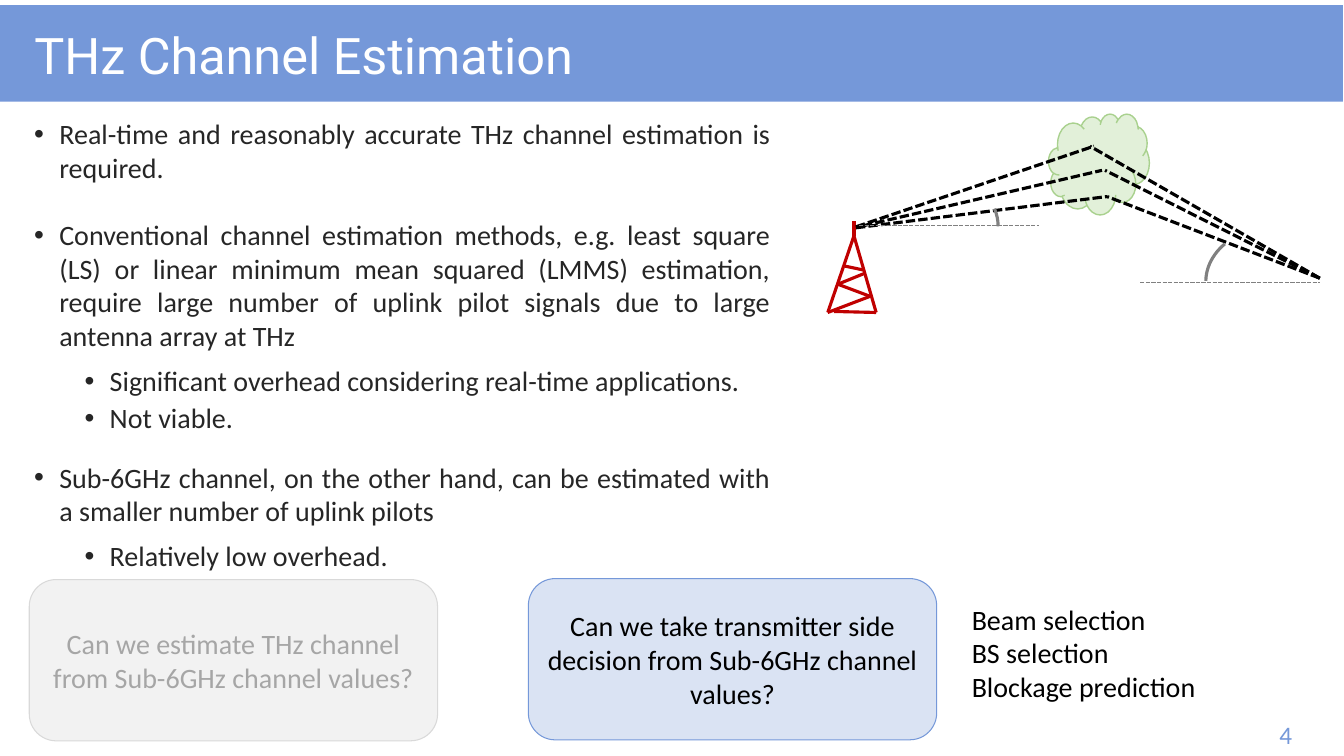
from lxml import etree
from pptx import Presentation
from pptx.dml.color import RGBColor
from pptx.enum.dml import MSO_LINE
from pptx.enum.shapes import MSO_CONNECTOR, MSO_SHAPE
from pptx.enum.text import MSO_ANCHOR, MSO_AUTO_SIZE, PP_ALIGN
from pptx.oxml.ns import qn
from pptx.util import Inches, Pt

BLUE, WHITE, BLACK, GRAY = "7598D9", "FFFFFF", "000000", "808080"


def rgb(hex_code):
    return RGBColor.from_string(hex_code)


class Deck:
    """Holds the slide, its fonts and one method per kind of element."""

    body_font, title_font = "Calibri", "Roboto"

    def __init__(self):
        self.prs = Presentation()
        self.prs.slide_width, self.prs.slide_height = Inches(13.33), Inches(7.5)
        self.slide = self.prs.slides.add_slide(self.prs.slide_layouts[5])

    def style(self, paragraph, size, color, align=PP_ALIGN.LEFT, font=None):
        paragraph.alignment = align
        paragraph.font.size = Pt(size)
        paragraph.font.name = font or self.body_font
        paragraph.font.color.rgb = rgb(color)

    def title(self, text, box):
        title = self.slide.shapes.title
        title.left, title.top, title.width, title.height = map(Inches, box)
        frame = title.text_frame
        frame.text = text
        frame.auto_size = MSO_AUTO_SIZE.NONE
        frame.vertical_anchor = MSO_ANCHOR.MIDDLE
        frame.paragraphs[0].line_spacing = 0.9
        self.style(frame.paragraphs[0], 36, WHITE, font=self.title_font)

    def shape(self, kind, box, fill=None, line=None, width=0.75):
        shape = self.slide.shapes.add_shape(kind, *map(Inches, box))
        shape.shadow.inherit = False
        if fill:
            shape.fill.solid()
            shape.fill.fore_color.rgb = rgb(fill)
        else:
            shape.fill.background()
        if line:
            shape.line.color.rgb = rgb(line)
            shape.line.width = Pt(width)
        else:
            shape.line.fill.background()
        return shape

    def arc(self, box, start, end):
        arc = self.shape(MSO_SHAPE.ARC, box, line=GRAY, width=2.25)
        # Angles in degrees; one adjustment unit is 100000/60000 degrees
        arc.adjustments[0], arc.adjustments[1] = start * 0.6, end * 0.6

    def label(self, shape, lines, size, color, align=PP_ALIGN.LEFT, anchor=MSO_ANCHOR.MIDDLE):
        frame = shape.text_frame
        frame.word_wrap = True
        frame.vertical_anchor = anchor
        frame.text = "\n".join(lines)
        for paragraph in frame.paragraphs:
            self.style(paragraph, size, color, align)

    def text_box(self, box):
        return self.slide.shapes.add_textbox(*map(Inches, box))

    def bullets(self, box, items):
        frame = self.text_box(box).text_frame
        frame.word_wrap = True
        for index, (level, text) in enumerate(items):
            paragraph = frame.add_paragraph() if index else frame.paragraphs[0]
            paragraph.text = text
            paragraph.level = level
            paragraph.line_spacing = 0.9 if level else 1.0
            paragraph.space_before = Pt((5 if level else 18) if index else 0)
            paragraph.space_after = Pt(0 if level else 6)
            props = paragraph._p.get_or_add_pPr()
            props.set("marL", str(Inches(0.25 + 0.5 * level)))
            props.set("indent", str(Inches(-0.25)))
            etree.SubElement(props, qn("a:buFont")).set("typeface", "Arial")
            etree.SubElement(props, qn("a:buChar")).set("char", "•")
            self.style(paragraph, 20, "262626", PP_ALIGN.JUSTIFY)

    def line(self, start, end, color, width=2.25, dashed=False):
        line = self.slide.shapes.add_connector(
            MSO_CONNECTOR.STRAIGHT, *map(Inches, (*start, *end)))
        line.line.color.rgb = rgb(color)
        line.line.width = Pt(width)
        if dashed:
            line.line.dash_style = MSO_LINE.SQUARE_DOT
        etree.SubElement(line._element.spPr, qn("a:effectLst"))


def main():
    deck = Deck()

    # Title on its band
    deck.title("THz Channel Estimation", (0.24, 0.15, 12.94, 0.86))
    band = deck.shape(MSO_SHAPE.RECTANGLE, (-0.01, 0.05, 13.33, 0.96), BLUE)
    deck.slide.shapes.title._element.addprevious(band._element)

    # Scattering cloud
    deck.shape(MSO_SHAPE.CLOUD, (10.4, 1.13, 1, 1), "E2F0D9", "A9D18E", 1)

    # Arguments
    deck.bullets((0.24, 1.11, 7.5, 5.63), [
        (0, "Real-time and reasonably accurate THz channel estimation is required."),
        (0, "Conventional channel estimation methods, e.g. least square (LS) or linear "
            "minimum mean squared (LMMS) estimation, require large number of uplink "
            "pilot signals due to large antenna array at THz"),
        (1, "Significant overhead considering real-time applications."),
        (1, "Not viable."),
        (0, "Sub-6GHz channel, on the other hand, can be estimated with a smaller "
            "number of uplink pilots"),
        (1, "Relatively low overhead."),
    ])

    # Slide number
    page = deck.shape(MSO_SHAPE.RECTANGLE, (12.59, 7.09, 0.59, 0.35), WHITE, WHITE)
    deck.label(page, ["4"], 18, BLUE, anchor=MSO_ANCHOR.TOP)

    # Base station tower
    apex, left_foot, right_foot = (8.47, 2.34), (8.21, 3.1), (8.69, 3.1)
    low, middle = (8.63, 2.94), (8.31, 2.82)
    for start, end in [
        (apex, left_foot), (apex, right_foot), (apex, (8.47, 2.19)),
        ((8.27, 3.09), right_foot), (left_foot, low), (low, middle),
        (middle, (8.58, 2.71)), ((8.57, 2.68), (8.38, 2.64)),
    ]:
        deck.line(start, end, "C00000")

    # Signal paths from the tower and from the receiver to the cloud
    receiver = (13.09, 2.76)
    for start, end in [
        ((8.56, 2.24), (10.93, 1.69)), ((8.49, 2.25), (10.85, 1.45)),
        ((8.49, 2.26), (10.98, 1.95)), (receiver, (10.96, 1.69)),
        (receiver, (10.98, 1.95)), (receiver, (10.81, 1.45)),
    ]:
        deck.line(start, end, BLACK, dashed=True)

    # Departure and arrival angles
    deck.line((8.52, 2.24), (10.3, 2.24), GRAY, 1, dashed=True)
    deck.arc((8.53, 1.7, 1.37, 1.09), 344.93, 0)
    deck.line((11.31, 2.8), (13.09, 2.8), GRAY, 1, dashed=True)
    deck.arc((11.96, 2.25, 1.37, 1.09), 180.66, 217.08)

    # Questions
    for left, top, fill, outline, color, question in [
        (0.29, 5.75, "F2F2F2", "D9D9D9", "A6A6A6",
         "Can we estimate THz channel from Sub-6GHz channel values?"),
        (5.24, 5.74, "DAE3F3", BLUE, BLACK,
         "Can we take transmitter side decision from Sub-6GHz channel values?"),
    ]:
        card = deck.shape(MSO_SHAPE.ROUNDED_RECTANGLE, (left, top, 4.05, 1.6), fill, outline)
        deck.label(card, [question], 20, color, PP_ALIGN.CENTER)

    # Decisions
    decisions = deck.text_box((9.54, 5.86, 2.6, 1.23))
    deck.label(decisions, ["Beam selection", "BS selection", "Blockage prediction"], 20, BLACK)

    deck.prs.save("out.pptx")


if __name__ == "__main__":
    main()
